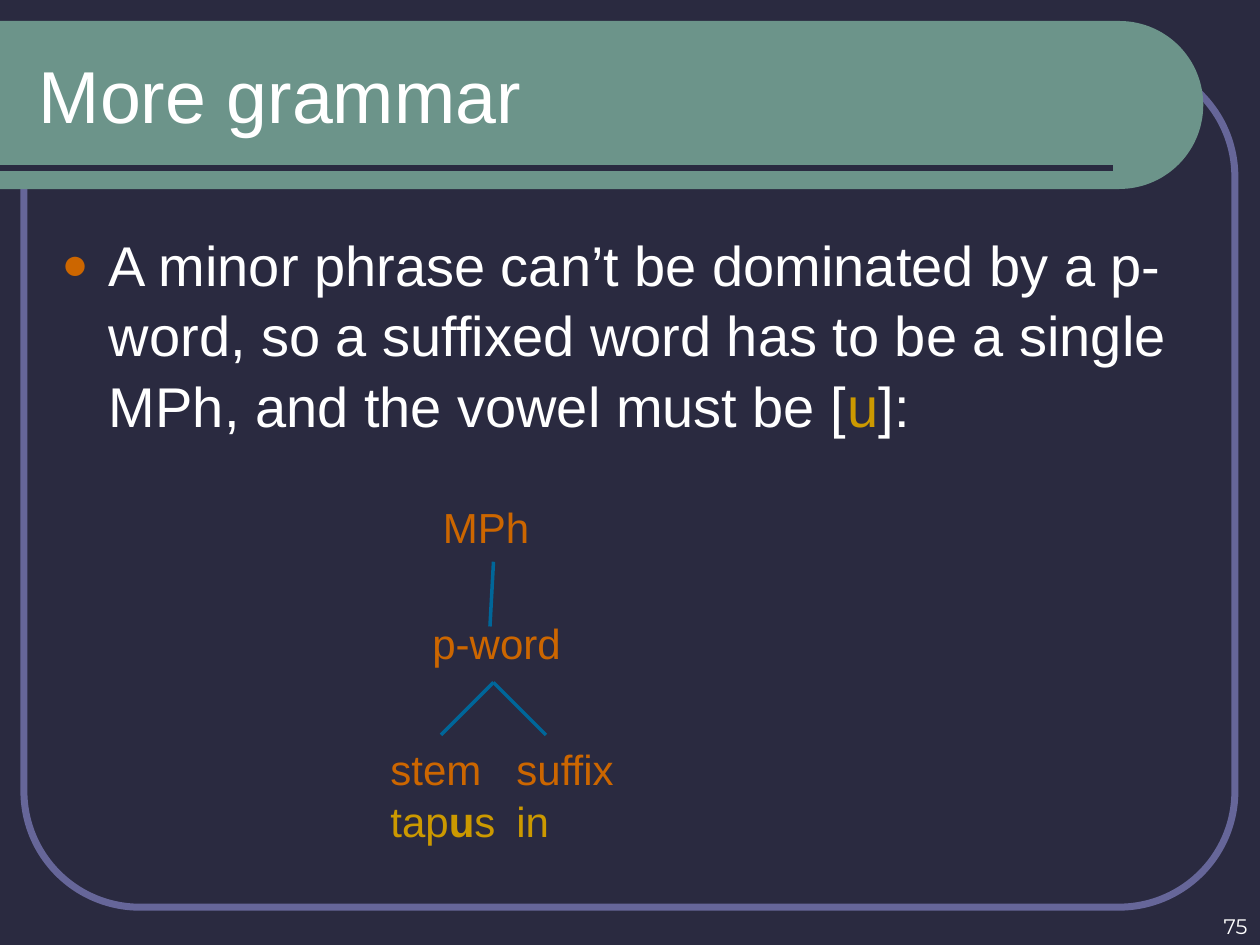
"""Build the "More grammar" slide with its prosodic tree."""
import math

from lxml import etree
from pptx import Presentation
from pptx import util as u
from pptx.dml import color
from pptx.enum import shapes, text
from pptx.oxml import ns

Pt = u.Pt
COLORS = {"ground": "2A2A40", "frame": "666699", "band": "6C948A", "white": "FFFFFF",
          "orange": "CC6600", "gold": "CC9900", "branch": "006699"}


def rgb(name):
    """Return the named palette colour."""
    return color.RGBColor.from_string(COLORS[name])


def add_xml(parent, tag, **attrs):
    """Append a DrawingML element to parent."""
    return etree.SubElement(parent, ns.qn(tag), attrs)


class Deck:
    """Holds the style and the current slide."""

    def __init__(self, prs, font="Arial"):
        """Start a slide with a title and a body."""
        self.font = font
        self.s = prs.slides.add_slide(prs.slide_layouts[1])
        self.s.background.fill.solid()
        self.s.background.fill.fore_color.rgb = rgb("ground")

    def frame(self, x, y, w, h, adj, width):
        """Draw an unfilled rounded border."""
        sp = self.s.shapes.add_shape(shapes.MSO_SHAPE.ROUNDED_RECTANGLE, Pt(x), Pt(y), Pt(w), Pt(h))
        sp.adjustments[0] = adj
        sp.shadow.inherit = False
        sp.fill.background()
        sp.line.color.rgb = rgb("frame")
        sp.line.width = Pt(width)

    def band(self, y, w, h, steps=60):
        """Draw the title band from the left edge, its right end a half circle."""
        r = h / 2
        angles = [math.pi * (i / steps - 0.5) for i in range(steps + 1)]
        arc = [(w - r + r * math.cos(a), y + r + r * math.sin(a)) for a in angles]
        builder = self.s.shapes.build_freeform(0, Pt(y))
        builder.add_line_segments([(Pt(px), Pt(py)) for px, py in arc + [(0, y + h)]])
        sp = builder.convert_to_shape()
        sp.shadow.inherit = False
        sp.fill.solid()
        sp.fill.fore_color.rgb = rgb("band")
        sp.line.fill.background()

    def line(self, start, end, name, width):
        """Draw a straight line between two points."""
        cx = self.s.shapes.add_connector(shapes.MSO_CONNECTOR.STRAIGHT, *map(Pt, start + end))
        cx.line.color.rgb = rgb(name)
        cx.line.width = Pt(width)
        add_xml(cx._element.spPr, "a:effectLst")

    def set_text(self, sp, box, paras, size, font=None, align=text.PP_ALIGN.LEFT,
                 anchor=text.MSO_ANCHOR.TOP, spacing=1.0):
        """Place a shape and fill it; a paragraph is a list of (text, colour, bold) runs."""
        sp.left, sp.top, sp.width, sp.height = map(Pt, box)
        tf = sp.text_frame
        tf.word_wrap = True
        tf.auto_size = text.MSO_AUTO_SIZE.NONE
        tf.vertical_anchor = anchor
        for i, runs in enumerate(paras):
            p = tf.add_paragraph() if i else tf.paragraphs[0]
            p.alignment, p.line_spacing = align, spacing
            p.font.size, p.font.name = Pt(size), font or self.font
            for words, name, bold in runs:
                r = p.add_run()
                r.text = words
                r.font.color.rgb = rgb(name)
                r.font.bold = bold
        return tf

    def title(self, box, words):
        """Fill the title placeholder."""
        self.set_text(self.s.shapes.title, box, [[(words, "white", False)]], 42,
                      anchor=text.MSO_ANCHOR.MIDDLE)

    def body(self, box, runs, indent):
        """Fill the body placeholder with one bulleted paragraph."""
        p = self.set_text(self.s.placeholders[1], box, [runs], 32, spacing=1.05).paragraphs[0]
        p.space_before = Pt(8)
        pPr = p._p.get_or_add_pPr()
        pPr.set("marL", str(Pt(indent)))
        pPr.set("indent", str(-Pt(indent)))
        bullet = etree.Element("bullet")
        add_xml(add_xml(bullet, "a:buClr"), "a:srgbClr", val=COLORS["orange"])
        add_xml(bullet, "a:buSzPct", val="80000")
        add_xml(bullet, "a:buFont", typeface=self.font)
        add_xml(bullet, "a:buChar", char="●")
        at = pPr.index(pPr.find(ns.qn("a:defRPr")))
        pPr[at:at] = list(bullet)

    def label(self, box, paras, size=24, **style):
        """Add a text box."""
        self.set_text(self.s.shapes.add_textbox(0, 0, 0, 0), box, paras, size, **style)


def main():
    """Build and save the slide."""
    prs = Presentation()
    prs.slide_width, prs.slide_height = Pt(720), Pt(540)
    s = Deck(prs)

    s.frame(13.7, 34.6, 692, 483.8, 0.137, 4)
    s.band(12, 687.6, 96)
    s.line((0, 96), (636, 96), "ground", 3)
    # Placeholders come first in the tree, so bring them above the band.
    for sp in list(s.s.placeholders):
        s.s.shapes._spTree.append(sp._element)

    s.title((15, 18, 631.5, 72), "More grammar")
    s.body((28, 126, 663, 374.4), [
        ("A minor phrase can’t be dominated by a p-word, so a suffixed word has to be "
         "a single MPh, and the vowel must be [", "white", False),
        ("u", "gold", False), ("]:", "white", False)], 27)

    node = (282, 390)
    for start, end in ((node, (252, 420)), (node, (312, 420)), ((282, 321), (280, 358))):
        s.line(start, end, "branch", 2)

    tree = [
        ((246, 282, 90, 36), [[("MPh", "orange", False)]]),
        ((240, 348, 90, 36), [[("p-word", "orange", False)]]),
        ((216, 420, 90, 65), [[("stem", "orange", False)],
                              [("tap", "gold", False), ("u", "gold", True), ("s", "gold", False)]]),
        ((288, 420, 84, 65), [[("suffix", "orange", False)], [("in", "gold", False)]]),
    ]
    for box, paras in tree:
        s.label(box, paras, spacing=1.04)

    s.label((552, 504, 168, 36), [[("75", "white", False)]], 12, font="Montserrat",
            align=text.PP_ALIGN.RIGHT, anchor=text.MSO_ANCHOR.BOTTOM)
    prs.save("out.pptx")


main()
